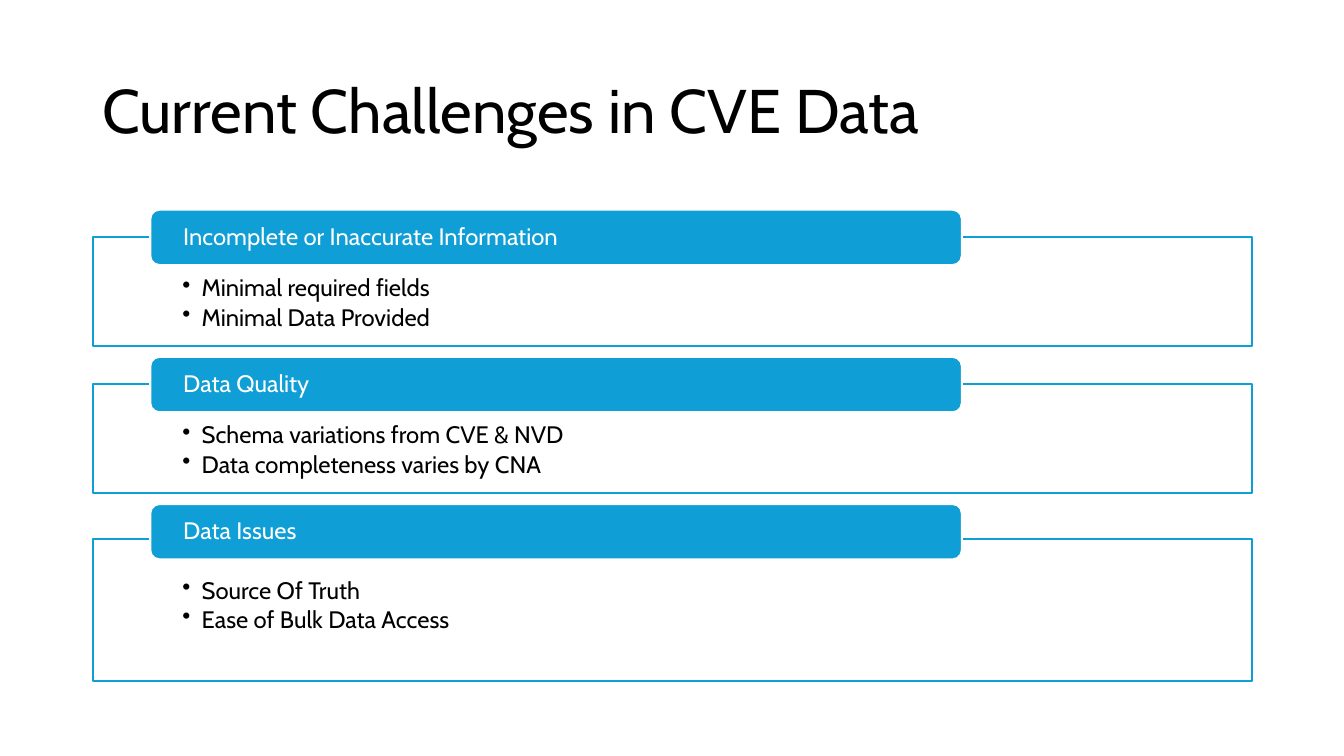
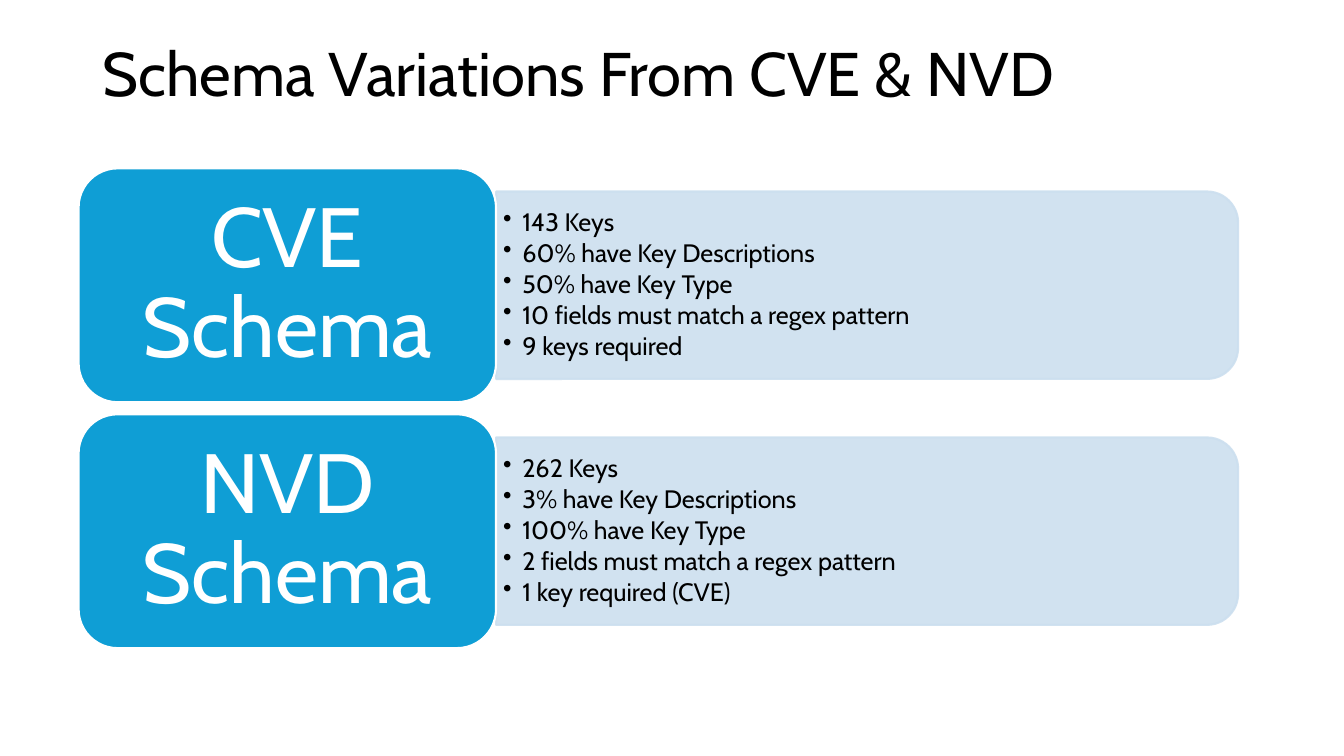
import dataclasses
import typing

import lxml.etree
import pptx
import pptx.dml.color
import pptx.enum.shapes
import pptx.enum.text
import pptx.oxml.ns
import pptx.util

Inches = pptx.util.Inches
Pt = pptx.util.Pt
RGB = pptx.dml.color.RGBColor
SHAPE = pptx.enum.shapes.MSO_SHAPE
ALIGN = pptx.enum.text.PP_ALIGN
ANCHOR = pptx.enum.text.MSO_ANCHOR
qn = pptx.oxml.ns.qn


@dataclasses.dataclass(frozen=True)
class Theme:
    font: str = "Cabin"
    accent: str = "0F9ED5"
    tint: str = "CCDFEF"
    black: str = "000000"
    white: str = "FFFFFF"
    title_size: float = 44
    label_size: float = 60
    card_size: float = 17
    list_size: float = 18
    line_width: float = 1.5
    line_spacing: float = 0.9
    bullet_gap: float = 0.15
    bullet_indent: float = 0.19


class Box(typing.NamedTuple):
    left: float
    top: float
    width: float
    height: float

    def lengths(self) -> list[pptx.util.Length]:
        return [Inches(v) for v in self]


@dataclasses.dataclass(frozen=True)
class Card:
    heading: str
    points: list[str]
    body_top: float
    body_height: float


@dataclasses.dataclass(frozen=True)
class Schema:
    name: str
    points: list[str]


T = Theme()

CARDS = [
    Card("Incomplete or Inaccurate Information",
         ["Minimal required fields", "Minimal Data Provided"], 2.35, 1.08),
    Card("Data Quality",
         ["Schema variations from CVE & NVD", "Data completeness varies by CNA"], 3.81, 1.08),
    Card("Data Issues",
         ["Source Of Truth", "Ease of Bulk Data Access"], 5.35, 1.41),
]

SCHEMAS = [
    Schema("CVE Schema", [
        "143 Keys",
        "60% have Key Descriptions",
        "50% have Key Type",
        "10 fields must match a regex pattern",
        "9 keys required",
    ]),
    Schema("NVD Schema", [
        "262 Keys",
        "3% have Key Descriptions",
        "100% have Key Type",
        "2 fields must match a regex pattern",
        "1 key required (CVE)",
    ]),
]


def add_bullet(p) -> None:
    pPr = p._p.get_or_add_pPr()
    pPr.set("marL", str(Inches(T.bullet_indent)))
    pPr.set("indent", str(-Inches(T.bullet_indent)))
    lxml.etree.SubElement(pPr, qn("a:buChar")).set("char", "•")


def write(sp, lines: list[str], *, size: float, color: str = T.black, bullets: bool = False,
          align=ALIGN.LEFT, anchor=ANCHOR.MIDDLE,
          insets: tuple[float, float, float, float] = (0.1, 0.05, 0.1, 0.05)) -> None:
    tf = sp.text_frame
    tf.word_wrap = True
    tf.vertical_anchor = anchor
    tf.margin_left, tf.margin_top, tf.margin_right, tf.margin_bottom = map(Inches, insets)
    for i, line in enumerate(lines):
        p = tf.paragraphs[0] if i == 0 else tf.add_paragraph()
        if bullets:
            add_bullet(p)
        p.alignment = align
        p.line_spacing = T.line_spacing
        if i < len(lines) - 1:
            p.space_after = Pt(size * T.bullet_gap)
        r = p.add_run()
        r.text = line
        r.font.name = T.font
        r.font.size = Pt(size)
        r.font.color.rgb = RGB.from_string(color)


def set_alpha(sp, percent: int) -> None:
    for clr in sp._element.spPr.iter(qn("a:srgbClr")):
        lxml.etree.SubElement(clr, qn("a:alpha")).set("val", str(percent * 1000))


def add_shape(s, kind, box: Box, fill: str, line: str):
    sp = s.shapes.add_shape(kind, *box.lengths())
    sp.shadow.inherit = False
    sp.fill.solid()
    sp.fill.fore_color.rgb = RGB.from_string(fill)
    sp.line.color.rgb = RGB.from_string(line)
    sp.line.width = Pt(T.line_width)
    return sp


def add_slide(prs, title: str, title_top: float):
    s = prs.slides.add_slide(prs.slide_layouts[6])
    sp = s.shapes.add_textbox(*Box(0.92, title_top, 11.5, 1.45).lengths())
    write(sp, [title], size=T.title_size)
    return s


def add_card(s, card: Card, heading_top: float) -> None:
    body = add_shape(s, SHAPE.RECTANGLE, Box(0.92, card.body_top, 11.5, card.body_height),
                     T.white, T.accent)
    write(body, card.points, size=T.card_size, bullets=True, anchor=ANCHOR.TOP,
          insets=(0.89, 0.39, 0.89, 0.13))
    heading = add_shape(s, SHAPE.ROUNDED_RECTANGLE, Box(1.49, heading_top, 8.05, 0.55),
                        T.accent, T.white)
    write(heading, [card.heading], size=T.card_size, color=T.white, insets=(0.3, 0, 0.3, 0))


def add_schema(s, schema: Schema, top: float) -> None:
    label_box = Box(0.78, top, 4.14, 2.32)
    panel_left = label_box.left + label_box.width
    panel_width, panel_height = 7.36, 1.86
    middle = top + label_box.height / 2

    panel_box = Box(panel_left + (panel_width - panel_height) / 2, middle - panel_width / 2,
                    panel_height, panel_width)
    panel = add_shape(s, SHAPE.ROUND_2_SAME_RECTANGLE, panel_box, T.tint, T.tint)
    panel.rotation = 90
    set_alpha(panel, 90)

    points = s.shapes.add_textbox(*Box(panel_left, middle - 0.84, 7.27, 1.68).lengths())
    write(points, schema.points, size=T.list_size, bullets=True,
          insets=(0.07, 0.04, 0.07, 0.04))

    label = add_shape(s, SHAPE.ROUNDED_RECTANGLE, label_box, T.accent, T.white)
    write(label, [schema.name], size=T.label_size, color=T.white, align=ALIGN.CENTER,
          insets=(0.25, 0.12, 0.25, 0.12))


def main() -> None:
    prs = pptx.Presentation()
    prs.slide_width, prs.slide_height = Inches(13.33), Inches(7.5)

    s = add_slide(prs, "Current Challenges in CVE Data", 0.4)
    for i, card in enumerate(CARDS):
        add_card(s, card, 2.08 + i * 1.46)

    s = add_slide(prs, "Schema Variations From CVE & NVD", 0.03)
    for i, schema in enumerate(SCHEMAS):
        add_schema(s, schema, 1.67 + i * 2.44)

    prs.save("out.pptx")


if __name__ == "__main__":
    main()
